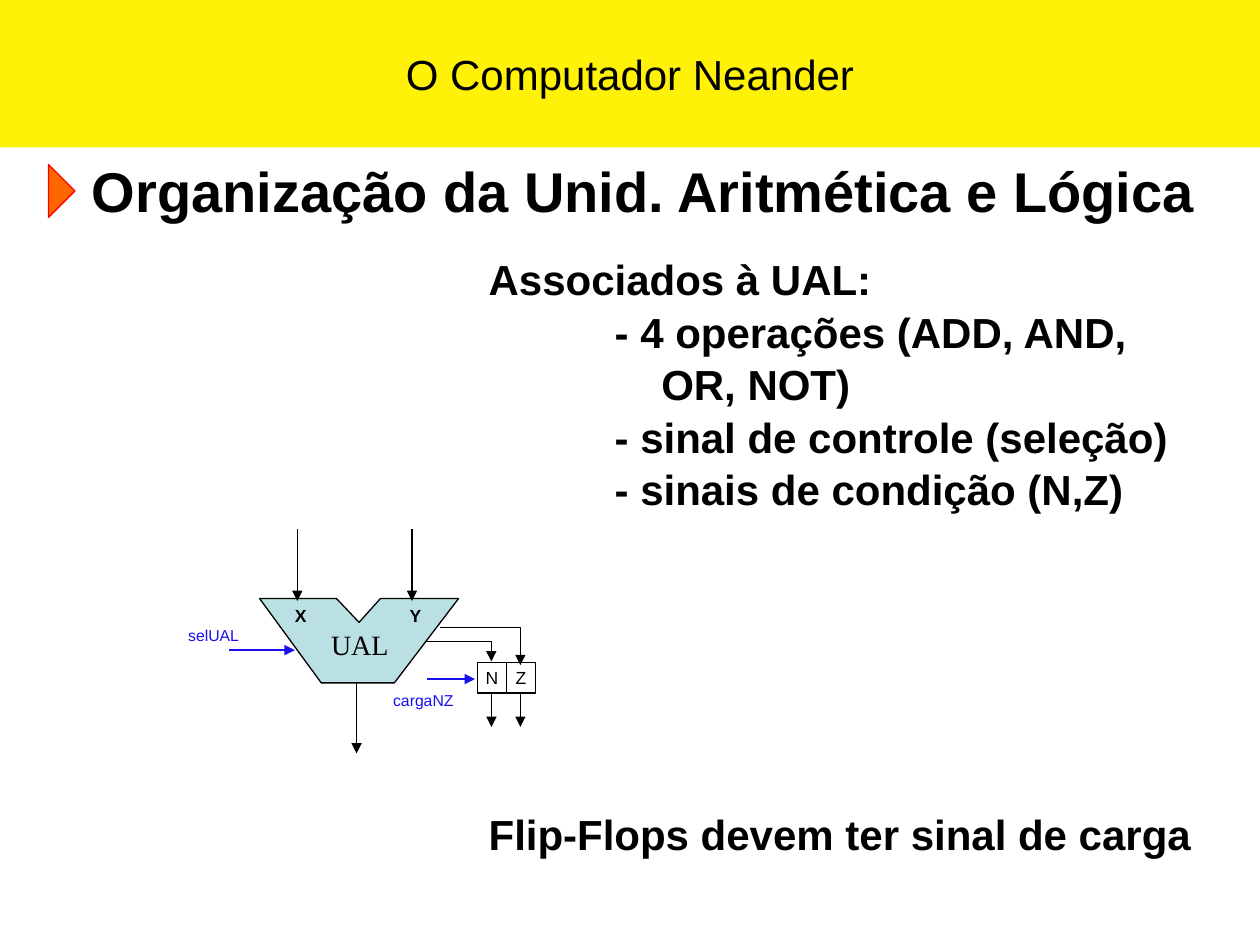
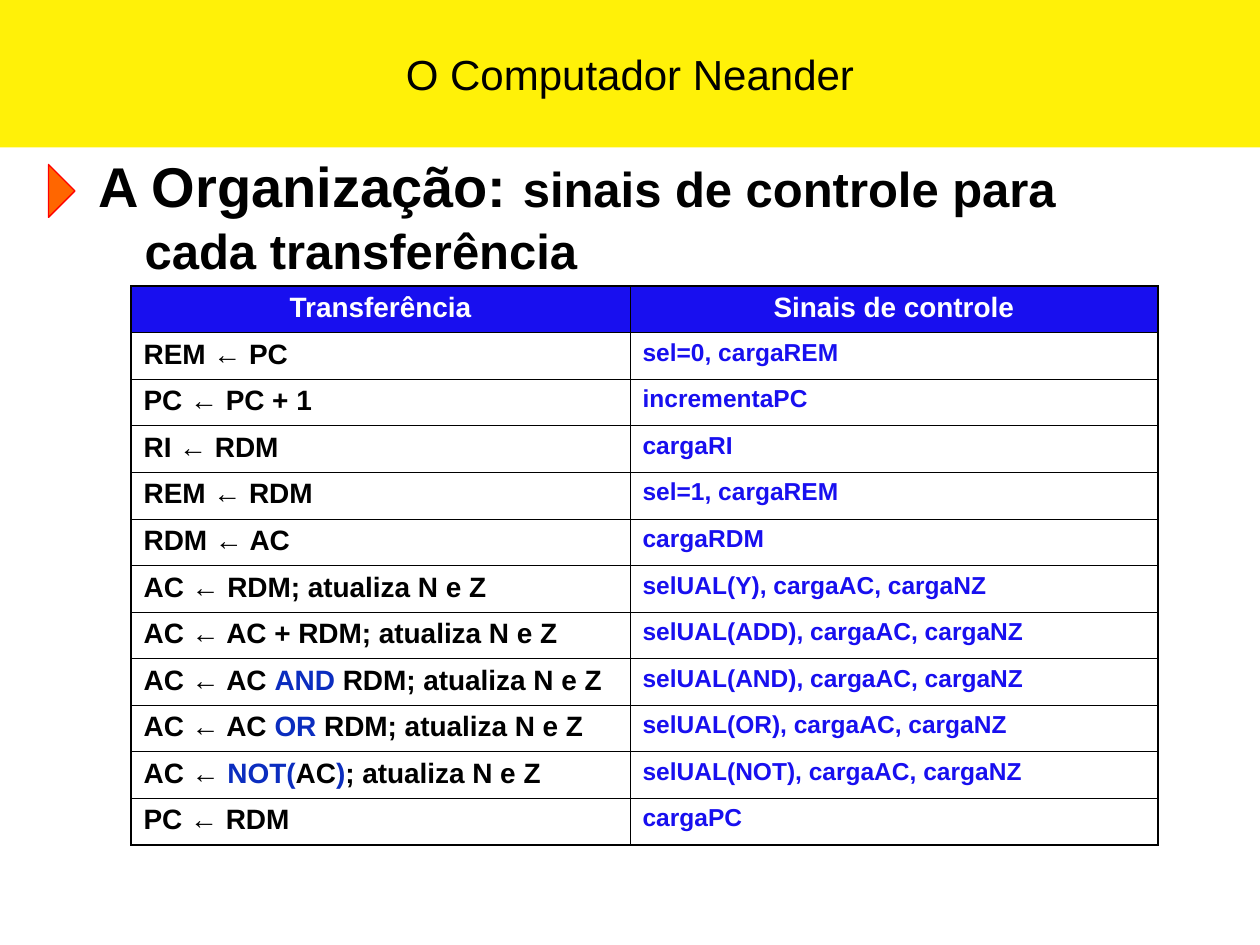
from lxml import etree
from pptx import Presentation, util as u
from pptx.dml.color import RGBColor
from pptx.enum import shapes, text
from pptx.oxml.ns import qn

# The slide is a grid of 100 columns by 75 rows
WIDTH, HEIGHT = u.Inches(10), u.Inches(7.5)
CELL = WIDTH // 100
COLORS = {
    "black": "000000", "white": "FFFFFF", "band": "FFF108",
    "marker": "FF6600", "marker_edge": "FF0000",
    "ual": "BBE0E3", "signal": "180FEF", "operator": "0B2DBF",
}
LEFT, CENTER = text.PP_ALIGN.LEFT, text.PP_ALIGN.CENTER
BODY_SPACING = 1.04
THIN, THICK = 0.45, 1.08

TRANSFERS = [
    ("REM ← PC", "sel=0, cargaREM"),
    ("PC ← PC + 1", "incrementaPC"),
    ("RI ← RDM", "cargaRI"),
    ("REM ← RDM", "sel=1, cargaREM"),
    ("RDM ← AC", "cargaRDM"),
    ("AC ← RDM; atualiza N e Z", "selUAL(Y), cargaAC, cargaNZ"),
    ("AC ← AC + RDM; atualiza N e Z", "selUAL(ADD), cargaAC, cargaNZ"),
    ("AC ← AC |AND| RDM; atualiza N e Z", "selUAL(AND), cargaAC, cargaNZ"),
    ("AC ← AC |OR| RDM; atualiza N e Z", "selUAL(OR), cargaAC, cargaNZ"),
    ("AC ← |NOT(|AC|)|; atualiza N e Z", "selUAL(NOT), cargaAC, cargaNZ"),
    ("PC ← RDM", "cargaPC"),
]


def grid(*cells):
    return [round(CELL * cell) for cell in cells]


def rgb(name):
    return RGBColor.from_string(COLORS[name])


# Text
def style(font, size, color="black", bold=False, name="Arial"):
    font.name, font.size, font.bold = name, u.Pt(size), bold
    font.color.rgb = rgb(color)


def indent(para, left, first):
    props = para._p.get_or_add_pPr()
    props.set("marL", str(u.Inches(left)))
    props.set("indent", str(u.Inches(first)))


def add_text(page, at, lines, size, align=LEFT, spacing=None, wrap=True,
             margin=0.1, **look):
    box = page.shapes.add_textbox(*grid(*at))
    frame = box.text_frame
    frame.word_wrap = wrap
    frame.margin_left = frame.margin_right = u.Inches(margin)
    frame.text = "\n".join(lines)
    for para in frame.paragraphs:
        para.alignment, para.line_spacing = align, spacing
        style(para.font, size, **look)
    return frame


def add_label(page, at, label, size=10, **look):
    add_text(page, at, [label], size, CENTER, wrap=False, margin=0.05, **look)


# Shapes and lines
def paint(shape, fill=None, edge=None):
    shape.shadow.inherit = False
    if fill:
        shape.fill.solid()
        shape.fill.fore_color.rgb = rgb(fill)
    else:
        shape.fill.background()
    if edge:
        shape.line.color.rgb = rgb(edge)
        shape.line.width = u.Pt(0.75)
    else:
        shape.line.fill.background()


def add_shape(page, kind, at, fill=None, edge=None):
    shape = page.shapes.add_shape(kind, *grid(*at))
    paint(shape, fill, edge)
    return shape


def write_centered(shape, label, size):
    frame = shape.text_frame
    frame.margin_left = frame.margin_right = 0
    frame.vertical_anchor = text.MSO_ANCHOR.MIDDLE
    para = frame.paragraphs[0]
    para.text, para.alignment = label, CENTER
    style(para.font, size)


def add_outline(page, points, close, fill=None):
    start, *rest = [grid(*point) for point in points]
    builder = page.shapes.build_freeform(*start)
    builder.add_line_segments(rest, close=close)
    shape = builder.convert_to_shape()
    paint(shape, fill, "black")
    return shape


def point_end(shape):
    line = shape._element.spPr.find(qn("a:ln"))
    etree.SubElement(line, qn("a:tailEnd"), type="triangle")


def add_arrow(page, start, end, color="black"):
    arrow = page.shapes.add_connector(
        shapes.MSO_CONNECTOR.STRAIGHT, *grid(*start, *end))
    arrow.line.color.rgb = rgb(color)
    arrow.line.width = u.Pt(0.75)
    point_end(arrow)
    etree.SubElement(arrow._element.spPr, qn("a:effectLst"))


# Shared frame of both slides
def add_page(deck):
    page = deck.slides.add_slide(deck.slide_layouts[6])
    band = add_shape(page, shapes.MSO_SHAPE.RECTANGLE, (0, 0, 100, 11.7), "band")
    write_centered(band, "O Computador Neander", 24)
    marker = add_shape(page, shapes.MSO_SHAPE.ISOSCELES_TRIANGLE,
                       (2.8, 14.1, 4.2, 2.1), "marker", "marker_edge")
    marker.rotation = 90
    return page


# Diagram of the arithmetic and logic unit
def add_ual(page):
    body = [(20.6, 47.5), (25.5, 54.2), (31.3, 54.2), (36.4, 47.5),
            (30.2, 47.5), (28.5, 49.4), (26.7, 47.5)]
    add_outline(page, body, True, "ual")
    add_label(page, (25.3, 49.3, 6.5, 3.7), "UAL", 16, name="Times New Roman")
    for name, x in (("X", 23.6), ("Y", 32.7)):
        add_label(page, (x - 0.7, 47.5, 1.9, 2.7), name, bold=True)
        add_arrow(page, (x, 42), (x, 47.7))
    add_arrow(page, (28.3, 54.1), (28.3, 59.8))


def add_flags(page):
    flags = [("N", 39, (33.7, 50.9), 52.5), ("Z", 41.3, (34.9, 49.8), 52.8)]
    for name, x, (left, top), bottom in flags:
        cell = add_shape(page, shapes.MSO_SHAPE.RECTANGLE,
                         (x - 1.1, 52.6, 2.3, 2.4), edge="black")
        write_centered(cell, name, 10)
        elbow = add_outline(page, [(left, top), (x, top), (x, bottom)], False)
        point_end(elbow)
        add_arrow(page, (x, 55.1), (x, 57.7))


def add_control_signals(page):
    add_label(page, (13.2, 49.2, 7.5, 2.3), "selUAL", 9, color="signal")
    add_arrow(page, (18.2, 51.6), (23.4, 51.6), "signal")
    add_label(page, (30.6, 54.3, 6, 2), "cargaNZ", 9, color="signal")
    add_arrow(page, (33.9, 53.9), (37.7, 53.9), "signal")


def build_ual_slide(deck):
    page = add_page(deck)
    add_text(page, (6.3, 11.7, 91, 6.4),
             ["Organização da Unid. Aritmética e Lógica"], 32,
             spacing=BODY_SPACING, bold=True)
    add_ual(page)
    add_flags(page)
    add_control_signals(page)
    notes = add_text(page, (37.8, 19.5, 59, 21), [
        "Associados à UAL:",
        "- 4 operações (ADD, AND,\vOR, NOT)",
        "- sinal de controle (seleção)",
        "- sinais de condição (N,Z)",
    ], 24, spacing=BODY_SPACING, bold=True)
    for para in notes.paragraphs[1:]:
        indent(para, 1.37, -0.37)
    add_text(page, (37.8, 63.5, 59, 5), ["Flip-Flops devem ter sinal de carga"],
             24, spacing=BODY_SPACING, bold=True)


# Table of transfers
def set_borders(cell, widths):
    props = cell._tc.get_or_add_tcPr()
    for position, (side, width) in enumerate(widths.items()):
        line = etree.Element(qn(f"a:ln{side}"), w=str(u.Pt(width)))
        fill = etree.SubElement(line, qn("a:solidFill"))
        etree.SubElement(fill, qn("a:srgbClr"), val=COLORS["black"])
        props.insert(position, line)


def fill_cell(cell, content, size, color, align=LEFT):
    para = cell.text_frame.paragraphs[0]
    para.alignment = align
    # Bars enclose the operators
    for number, piece in enumerate(content.split("|")):
        span = para.add_run()
        span.text = piece
        style(span.font, size, "operator" if number % 2 else color, True)


def add_transfer_table(page):
    rows = [("Transferência", "Sinais de controle")] + TRANSFERS
    last = len(rows) - 1
    table = page.shapes.add_table(
        len(rows), 2, *grid(10.4, 22.7, 81.5, 3.7 * len(rows))).table
    table.horz_banding = table.first_row = False
    for column, width in zip(table.columns, grid(39.6, 41.9)):
        column.width = width
    for r, row in enumerate(rows):
        for c, content in enumerate(row):
            cell = table.cell(r, c)
            if r == 0:
                cell.fill.solid()
                cell.fill.fore_color.rgb = rgb("signal")
                fill_cell(cell, content, 16, "white", CENTER)
            else:
                cell.fill.background()
                fill_cell(cell, content, *((16, "black"), (14, "signal"))[c])
            set_borders(cell, {
                "L": THIN if c else THICK, "R": THICK if c else THIN,
                "T": THIN if r else THICK, "B": THICK if r == last else THIN})


def build_transfer_slide(deck):
    page = add_page(deck)
    title = add_text(page, (6.8, 11.3, 87.3, 11), ["A Organização: "], 32,
                     spacing=BODY_SPACING, bold=True)
    para = title.paragraphs[0]
    indent(para, 0.37, -0.37)
    span = para.add_run()
    span.text = "sinais de controle para cada transferência"
    span.font.size = u.Pt(28)
    add_transfer_table(page)


def main():
    deck = Presentation()
    deck.slide_width, deck.slide_height = WIDTH, HEIGHT
    build_ual_slide(deck)
    build_transfer_slide(deck)
    deck.save("out.pptx")


if __name__ == "__main__":
    main()
